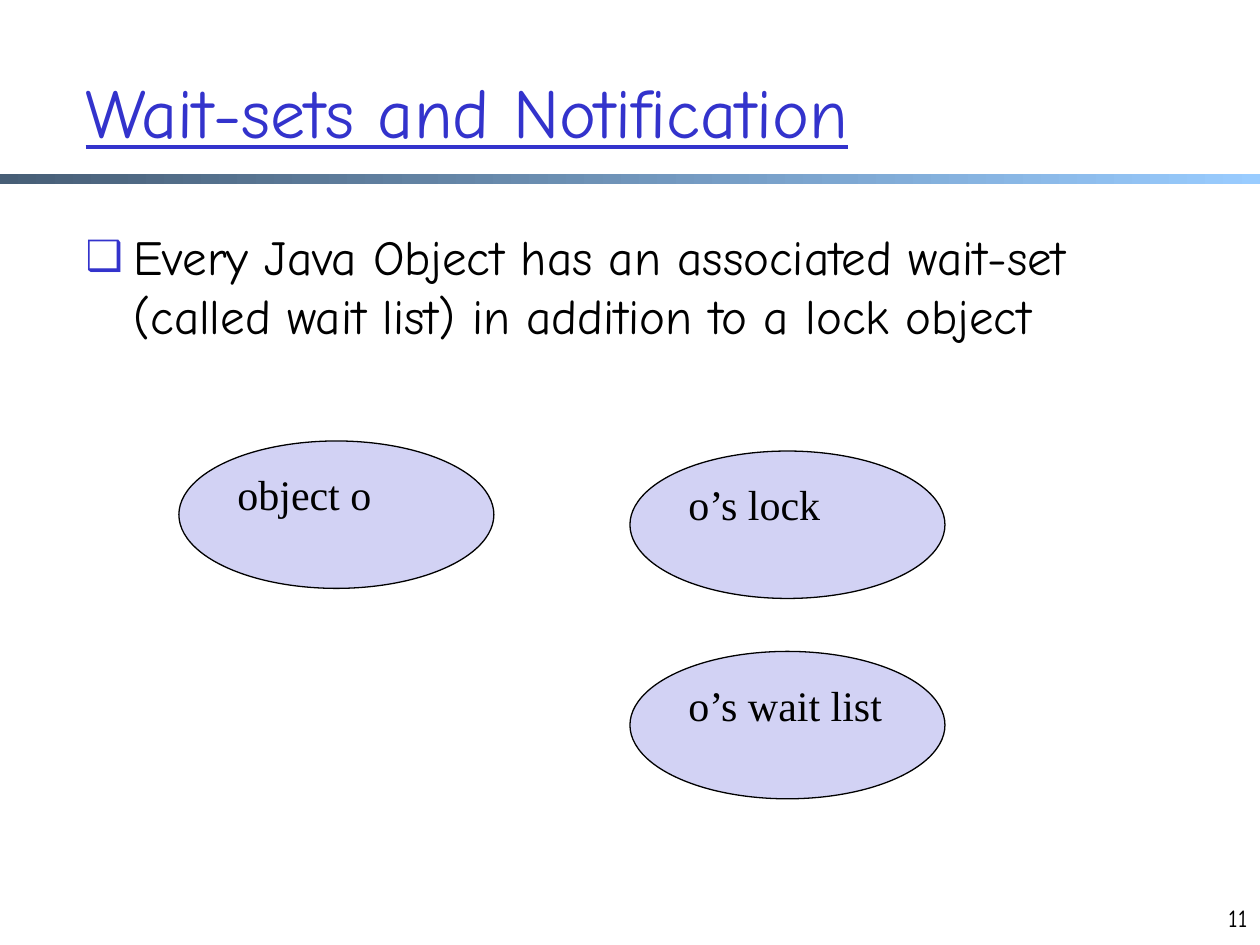
from dataclasses import dataclass

from lxml.etree import SubElement
from pptx import Presentation
from pptx.dml.color import RGBColor
from pptx.enum.shapes import MSO_SHAPE
from pptx.enum.text import MSO_ANCHOR, PP_ALIGN
from pptx.oxml.ns import qn
from pptx.util import Inches, Pt


@dataclass(frozen=True)
class Theme:
    accent: str = "3333CC"
    ink: str = "000000"
    oval: str = "D2D2F4"
    bar_start: str = "475E76"
    bar_end: str = "99CCFF"
    font: str = "Comic Neue"
    oval_font: str = "Times New Roman"
    title_size: int = 40
    body_size: int = 28
    oval_size: int = 24
    number_size: int = 14


class Deck:
    def __init__(self, theme):
        self.theme = theme
        self.prs = Presentation()
        self.prs.slide_width, self.prs.slide_height = Inches(10), Inches(7.5)
        self.s = self.prs.slides.add_slide(self.prs.slide_layouts[1])

    def place(self, sp, *box):
        sp.left, sp.top, sp.width, sp.height = map(Inches, box)

    def set_text(self, sp, text, size, color, font=None, align=PP_ALIGN.LEFT,
                 anchor=MSO_ANCHOR.TOP, wrap=True):
        tf = sp.text_frame
        tf.text = text
        tf.word_wrap = wrap
        tf.vertical_anchor = anchor
        p = tf.paragraphs[0]
        p.alignment = align
        p.space_before = Pt(0)
        r = p.runs[0]
        r.font.name = font or self.theme.font
        r.font.size = Pt(size)
        r.font.color.rgb = RGBColor.from_string(color)
        return p

    def title(self, text, *box):
        sp = self.s.shapes.title
        self.place(sp, *box)
        p = self.set_text(sp, text, self.theme.title_size, self.theme.accent,
                          anchor=MSO_ANCHOR.MIDDLE)
        p.runs[0].font.underline = True

    def bullet(self, text, *box):
        sp = self.s.placeholders[1]
        self.place(sp, *box)
        p = self.set_text(sp, text, self.theme.body_size, self.theme.ink)
        pPr = p._p.get_or_add_pPr()
        pPr.set("marL", str(Inches(0.38)))
        pPr.set("indent", str(Inches(-0.38)))
        color = SubElement(pPr, qn("a:buClr"))
        SubElement(color, qn("a:srgbClr"), val=self.theme.accent)
        SubElement(pPr, qn("a:buSzPct"), val="85000")
        SubElement(pPr, qn("a:buChar"), char="❑")

    def bar(self, *box):
        sp = self.s.shapes.add_shape(MSO_SHAPE.RECTANGLE, *map(Inches, box))
        sp.shadow.inherit = False
        sp.line.fill.background()
        sp.fill.gradient()
        sp.fill.gradient_angle = 0
        colors = (self.theme.bar_start, self.theme.bar_end)
        for stop, color in zip(sp.fill.gradient_stops, colors):
            stop.color.rgb = RGBColor.from_string(color)

    def oval(self, text, left, top):
        sp = self.s.shapes.add_shape(MSO_SHAPE.OVAL, Inches(left), Inches(top),
                                     Inches(2.5), Inches(1.17))
        sp.shadow.inherit = False
        sp.fill.solid()
        sp.fill.fore_color.rgb = RGBColor.from_string(self.theme.oval)
        sp.line.color.rgb = RGBColor.from_string(self.theme.ink)
        sp.line.width = Pt(0.75)
        self.set_text(sp, text, self.theme.oval_size, self.theme.ink,
                      self.theme.oval_font, wrap=False)

    def number(self, text, *box):
        sp = self.s.shapes.add_textbox(*map(Inches, box))
        self.set_text(sp, text, self.theme.number_size, self.theme.ink,
                      align=PP_ALIGN.RIGHT)


def main():
    deck = Deck(Theme())
    deck.bar(0, 1.38, 10, 0.08)
    deck.title("Wait-sets and Notification", 0.58, 0.25, 8.5, 1.25)
    deck.bullet("Every Java Object has an associated wait-set "
                "(called wait list) in addition to a lock object",
                0.58, 1.75, 8.5, 5.08)
    deck.number("11", 9.5, 7.12, 0.5, 0.5)
    for text, left, top in (("object o", 1.42, 3.5),
                            ("o’s lock", 5, 3.58),
                            ("o’s wait list", 5, 5.17)):
        deck.oval(text, left, top)
    deck.prs.save("out.pptx")


if __name__ == "__main__":
    main()
